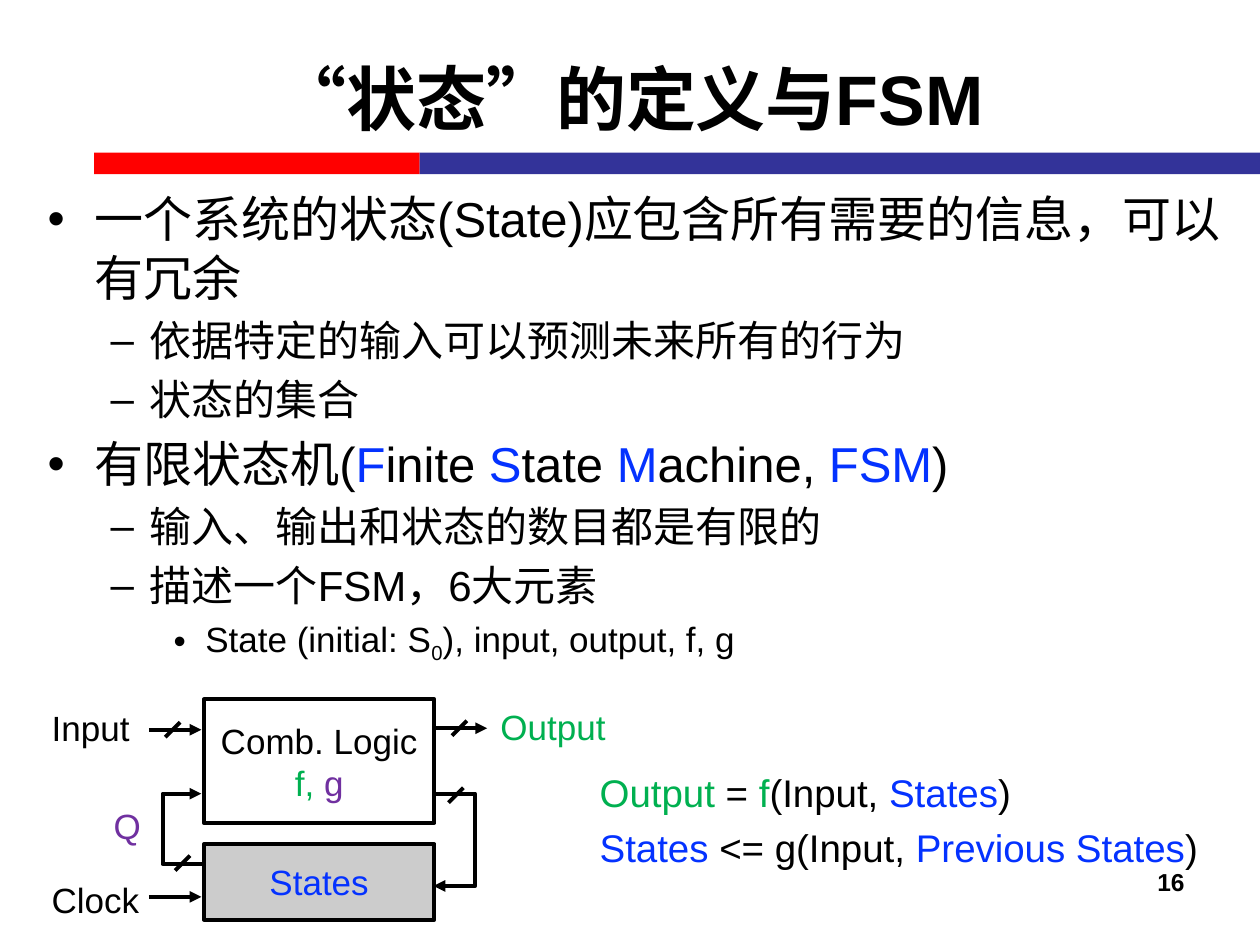
from dataclasses import dataclass

from lxml.etree import SubElement
from pptx import Presentation
from pptx.dml.color import RGBColor
from pptx.enum.shapes import MSO_CONNECTOR, MSO_SHAPE
from pptx.enum.text import MSO_ANCHOR, PP_ALIGN
from pptx.oxml.ns import qn
from pptx.util import Cm, Pt


@dataclass(frozen=True)
class Theme:
    font: str = "Arial"
    black: str = "000000"
    red: str = "FF0000"
    navy: str = "333399"
    blue: str = "0432FF"
    green: str = "00B050"
    purple: str = "7030A0"
    gray: str = "CCCCCC"
    title: int = 40
    levels: tuple = (28, 24, 20)
    formula: int = 22
    label: int = 20
    number: int = 14
    line: float = 2.25


@dataclass(frozen=True)
class Box:
    left: float
    top: float
    width: float
    height: float

    def inner(self, x, y, width, height):
        return Box(self.left + x, self.top + y, width, height)

    def point(self, x, y):
        return Cm(self.left + x), Cm(self.top + y)

    def lengths(self):
        return [Cm(value) for value in (self.left, self.top, self.width, self.height)]


THEME = Theme()
# Bullet, left margin and hanging indent of each outline level
BULLETS = (("•", 0.95, -0.95), ("–", 2.06, -0.79), ("•", 3.18, -0.64))


def add_span(para, text, size, color=THEME.black, bold=False):
    span = para.add_run()
    span.text = text
    font = span.font
    font.name, font.size, font.bold = THEME.font, Pt(size), bold
    font.color.rgb = RGBColor.from_string(color)
    return span


def fill_frame(frame, lines, size, align=PP_ALIGN.LEFT, bold=False, spacing=None):
    """Each line is a list of (text, colour) spans."""
    for index, line in enumerate(lines):
        para = frame.paragraphs[0] if index == 0 else frame.add_paragraph()
        para.alignment = align
        if spacing:
            para.line_spacing = spacing
        for text, color in line:
            add_span(para, text, size, color, bold)


def add_text(page, box, lines, size, wrap=False, anchor=MSO_ANCHOR.TOP, **style):
    frame = page.shapes.add_textbox(*box.lengths()).text_frame
    frame.word_wrap = wrap
    frame.vertical_anchor = anchor
    fill_frame(frame, lines, size, **style)


def add_block(page, box, fill=None, outlined=False):
    block = page.shapes.add_shape(MSO_SHAPE.RECTANGLE, *box.lengths())
    block.shadow.inherit = False
    if fill:
        block.fill.solid()
        block.fill.fore_color.rgb = RGBColor.from_string(fill)
    else:
        block.fill.background()
    if outlined:
        style_line(block)
    else:
        block.line.fill.background()
    block.text_frame.vertical_anchor = MSO_ANCHOR.MIDDLE
    return block


def style_line(shape, arrow=False):
    shape.line.width = Pt(THEME.line)
    shape.line.color.rgb = RGBColor.from_string(THEME.black)
    if arrow:
        SubElement(shape.line._get_or_add_ln(), qn("a:tailEnd"), type="triangle")


def add_wire(page, start, end, arrow=False):
    wire = page.shapes.add_connector(MSO_CONNECTOR.STRAIGHT, *start, *end)
    style_line(wire, arrow)
    SubElement(wire._element.spPr, qn("a:effectLst"))


def add_bent_wire(page, points):
    builder = page.shapes.build_freeform(*points[0])
    builder.add_line_segments(points[1:], close=False)
    wire = builder.convert_to_shape()
    wire.shadow.inherit = False
    wire.fill.background()
    style_line(wire, arrow=True)


def add_header(page, box):
    # Two-colour rule under the title
    add_block(page, box.inner(0.63, 2.7, 6.56, 0.43), THEME.red)
    add_block(page, box.inner(7.19, 2.7, 16.94, 0.43), THEME.navy)
    add_text(page, box, [[("“状态”的定义与FSM", THEME.black)]], THEME.title, wrap=True,
             anchor=MSO_ANCHOR.MIDDLE, align=PP_ALIGN.CENTER, bold=True)


def add_outline(page, box):
    black, blue = THEME.black, THEME.blue
    items = [
        (0, [("一个系统的状态(State)应包含所有需要的信息，可以有冗余", black)]),
        (1, [("依据特定的输入可以预测未来所有的行为", black)]),
        (1, [("状态的集合", black)]),
        (0, [("有限状态机(", black), ("F", blue), ("inite ", black), ("S", blue),
             ("tate ", black), ("M", blue), ("achine, ", black), ("FSM", blue), (")", black)]),
        (1, [("输入、输出和状态的数目都是有限的", black)]),
        (1, [("描述一个FSM，6大元素", black)]),
        (2, [("State (initial: S", black), ("0", black), ("), input, output, f, g", black)]),
    ]
    frame = page.shapes.add_textbox(*box.lengths()).text_frame
    frame.word_wrap = True
    for index, (level, spans) in enumerate(items):
        para = frame.paragraphs[0] if index == 0 else frame.add_paragraph()
        size = THEME.levels[level]
        mark, margin, indent = BULLETS[level]
        para.level = level
        properties = para._p.get_or_add_pPr()
        properties.set("marL", str(Cm(margin)))
        properties.set("indent", str(Cm(indent)))
        SubElement(properties, qn("a:buFont"), typeface=THEME.font)
        SubElement(properties, qn("a:buChar"), char=mark)
        if index:
            para.space_before = Pt(size * 0.2)
        for text, color in spans:
            span = add_span(para, text, size, color)
            if text == "0":  # subscript of the initial state
                span.font._element.set("baseline", "-25000")


def add_diagram(page, box):
    # Logic and state blocks
    logic = add_block(page, box.inner(3.53, 0, 4.65, 2.49), outlined=True)
    states = add_block(page, box.inner(3.53, 2.92, 4.65, 1.52), THEME.gray, outlined=True)
    fill_frame(logic.text_frame, [[("Comb. Logic", THEME.black)],
                                  [("f,", THEME.green), (" g", THEME.purple)]],
               THEME.label, PP_ALIGN.CENTER)
    fill_frame(states.text_frame, [[("States", THEME.blue)]], THEME.label, PP_ALIGN.CENTER)

    # Signal names
    for text, color, x, y, width in (("Input", THEME.black, 0.21, 0.02, 2.08),
                                     ("Output", THEME.green, 9.25, 0, 2.64),
                                     ("Clock", THEME.black, 0.1, 3.48, 2.49),
                                     ("Q", THEME.purple, 1.45, 2, 1.07)):
        add_text(page, box.inner(x, y, width, 1.12), [[(text, color)]], THEME.label,
                 align=PP_ALIGN.CENTER)

    # Straight signals
    for x, y in ((2.42, 0.61), (8.18, 0.58), (2.42, 3.98)):
        add_wire(page, box.point(x, y), box.point(x + 1.06, y), arrow=True)

    # Next-state and feedback paths
    for route in (((8.21, 1.9), (9, 1.9), (9, 3.76), (8.16, 3.76)),
                  ((3.53, 3.32), (2.7, 3.32), (2.7, 1.9), (3.48, 1.9))):
        add_bent_wire(page, [box.point(x, y) for x, y in route])

    # Bus slashes
    half = 0.15
    for x, y in ((2.9, 0.61), (3.1, 3.3), (8.61, 1.93), (8.68, 0.58)):
        add_wire(page, box.point(x - half, y + half), box.point(x + half, y - half))


def add_formulas(page, box):
    black, blue, green = THEME.black, THEME.blue, THEME.green
    add_text(page, box, [
        [("Output", green), (" = ", black), ("f", green), ("(Input, ", black),
         ("States", blue), (")", black)],
        [("States", blue), (" <= g(Input, ", black), ("Previous States", blue), (")", black)],
    ], THEME.formula, spacing=1.2)


def main():
    deck = Presentation()
    deck.slide_width, deck.slide_height = Cm(25.4), Cm(19.05)
    page = deck.slides.add_slide(deck.slide_layouts[6])
    add_header(page, Box(1.27, 0.38, 22.86, 3.18))
    add_outline(page, Box(0.71, 3.68, 24.43, 11.63))
    add_text(page, Box(18.21, 17.35, 5.92, 1.32), [[("16", THEME.black)]], THEME.number,
             wrap=True, align=PP_ALIGN.RIGHT, bold=True)
    add_diagram(page, Box(0.58, 14.1, 11.89, 4.6))
    add_formulas(page, Box(11.84, 15.19, 12.73, 2.41))
    deck.save("out.pptx")


if __name__ == "__main__":
    main()
